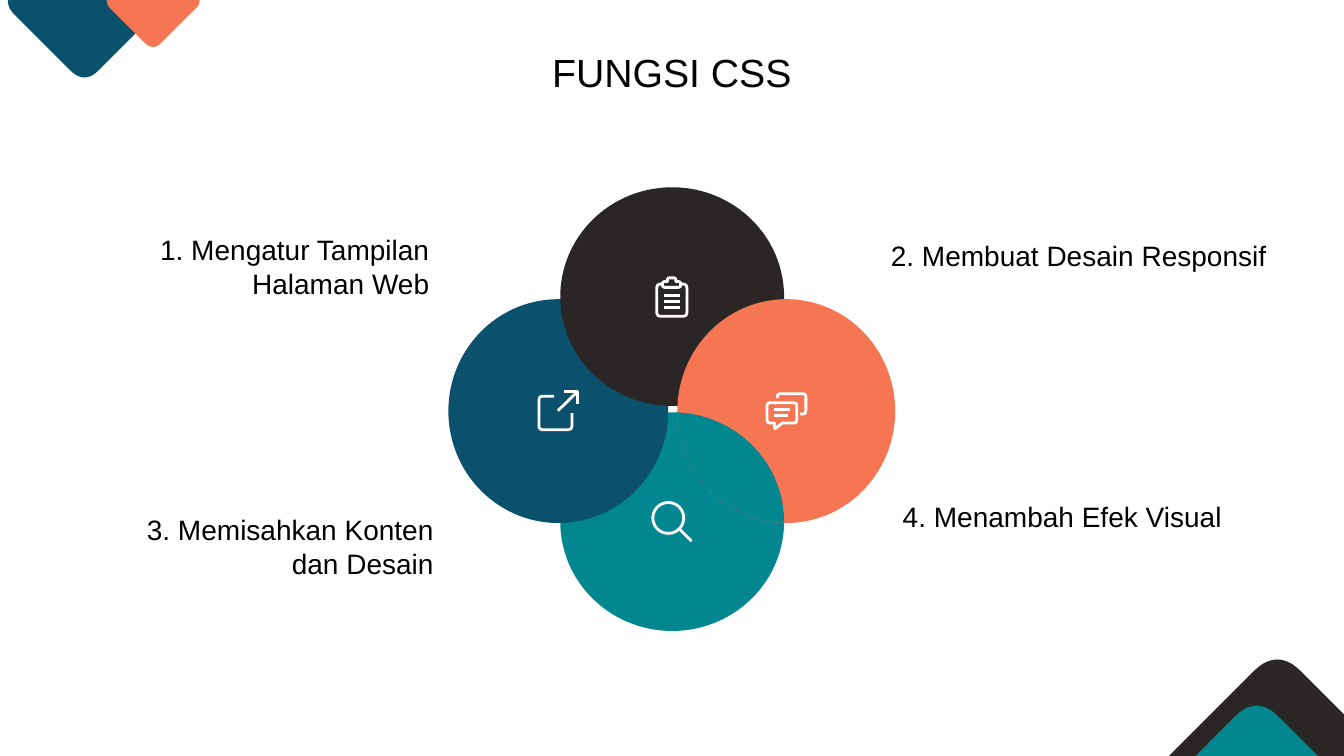
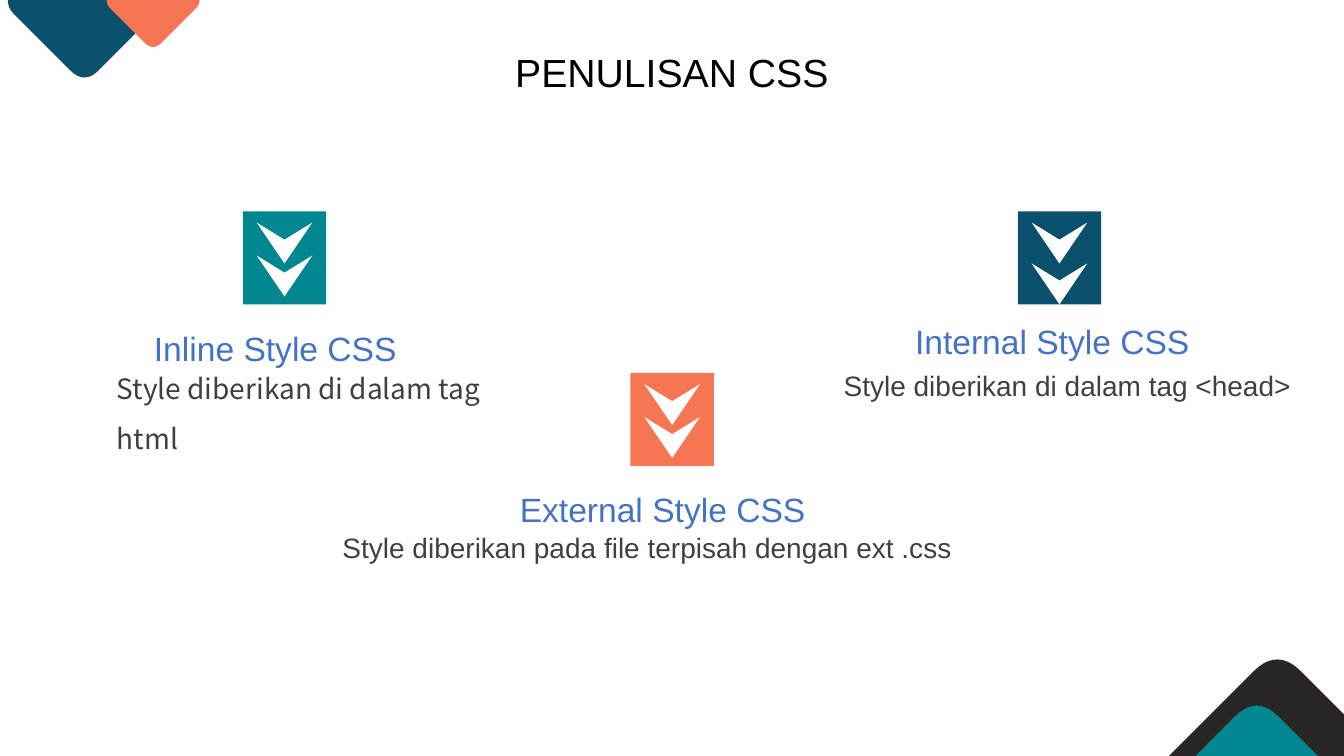
from math import cos, hypot, radians, sin

from lxml.etree import SubElement
from pptx import Presentation
from pptx.dml.color import RGBColor
from pptx.enum.shapes import MSO_CONNECTOR as Link, MSO_SHAPE as Kind
from pptx.enum.text import MSO_ANCHOR as Anchor, MSO_AUTO_SIZE as Fit, PP_ALIGN as Align
from pptx.oxml.ns import qn
from pptx.util import Cm, Pt

WIDE, HIGH = 33.87, 19.05
NAVY, CORAL, DARK, TEAL = "0B506C", "F67654", "2A2625", "02868F"
WHITE, BLACK, BLUE, GREY = "FFFFFF", "000000", "4472C4", "404040"
SANS, NOTO = "Arial", "Noto Sans CJK SC"
ICON = 1.04


def tint(hue):
    """Turn a hex string into a colour."""
    return RGBColor.from_string(hue)


def paint(shape, fill=None, line=None):
    """Set fill and line, and drop the shadow."""
    shape.shadow.inherit = False
    if fill:
        shape.fill.solid()
        shape.fill.fore_color.rgb = tint(fill)
    else:
        shape.fill.background()
    if line:
        shape.line.color.rgb = tint(line)
        shape.line.width = Pt(2)
    else:
        shape.line.fill.background()


def form(shapes, kind, x, y, w, h, fill=None, line=None):
    """Add a preset shape."""
    shape = shapes.add_shape(kind, Cm(x), Cm(y), Cm(w), Cm(h))
    paint(shape, fill, line)


def trace(shapes, pts, fill=None, line=None, close=True):
    """Add an outline through the points."""
    dots = [(Cm(x), Cm(y)) for x, y in pts]
    pen = shapes.build_freeform(*dots[0])
    pen.add_line_segments(dots[1:], close=close)
    paint(pen.convert_to_shape(), fill, line)


def soft(pts):
    """Round each corner that has a third value, the length cut off."""
    out = []
    for i, (x, y, *cut) in enumerate(pts):
        if not cut:
            out.append((x, y))
            continue
        ends = []
        for px, py, *_ in (pts[i - 1], pts[(i + 1) % len(pts)]):
            part = cut[0] / hypot(px - x, py - y)
            ends.append((x + (px - x) * part, y + (py - y) * part))
        (ax, ay), (bx, by) = ends
        for t in (k / 10 for k in range(11)):
            a, m, b = (1 - t) ** 2, 2 * t * (1 - t), t * t
            out.append((a * ax + m * x + b * bx, a * ay + m * y + b * by))
    return out


def arc(box, start, stop):
    """List points on the ellipse in a box, between two angles."""
    x, y, w, h = box
    turns = [radians(start + (stop - start) * k / 30) for k in range(31)]
    return [(x + w / 2 * (1 + cos(a)), y + h / 2 * (1 + sin(a))) for a in turns]


def write(shapes, x, y, w, h, text, size=20, hue=BLACK, font=SANS,
          align=Align.LEFT, space=None):
    """Add a text box."""
    frame = shapes.add_textbox(Cm(x), Cm(y), Cm(w), Cm(h)).text_frame
    frame.word_wrap = True
    style(frame, text, size, hue, font, align, space)


def style(frame, text, size, hue, font, align, space=None):
    """Fill a frame with one formatted paragraph."""
    frame.text = text
    para = frame.paragraphs[0]
    para.alignment = align
    para.line_spacing = space
    para.font.size, para.font.name = Pt(size), font
    para.font.color.rgb = tint(hue)


def drop(shapes, mid, half, side, cut, fill):
    """Hang a rounded diamond from the top edge."""
    left, right = mid - half, mid + half
    trace(shapes, soft([(left, 0), (right, 0), (right, side, side),
                        (mid, side + half, cut), (left, side, side)]), fill)


def peak(shapes, mid, top, cut, fill):
    """Raise a rounded diamond from the bottom edge, clipped at the right."""
    half = HIGH - top
    right = min(mid + half, WIDE)
    trace(shapes, soft([(mid - half, HIGH), (mid, top, cut),
                        (right, top + right - mid), (right, HIGH)]), fill)


def start(deck, title):
    """Add a slide with its corners and title."""
    slide = deck.slides.add_slide(deck.slide_layouts[5])
    shapes = slide.shapes
    drop(shapes, 2.13, 1.93, 0.2, 0.5, NAVY)
    drop(shapes, 3.86, 1.17, 0.12, 0.3, CORAL)
    peak(shapes, 32.19, 16.32, 0.84, DARK)
    peak(shapes, 31.67, 17.51, 0.77, TEAL)
    head = shapes.title
    head.left, head.top, head.width, head.height = Cm(12.22), Cm(1.09), Cm(9.42), Cm(1.45)
    frame = head.text_frame
    frame.auto_size, frame.vertical_anchor = Fit.NONE, Anchor.TOP
    style(frame, title, 28, BLACK, SANS, Align.CENTER)
    return shapes


def icon(shapes, x, y, paths=(), lines=(), rings=()):
    """Group white strokes given as parts of the icon size."""
    group = shapes.add_group_shape().shapes
    for close, pts in paths:
        spots = [(x + px * ICON, y + py * ICON, *[c * ICON for c in cut])
                 for px, py, *cut in pts]
        trace(group, soft(spots), line=WHITE, close=close)
    for ax, ay, bx, by in lines:
        link = group.add_connector(
            Link.STRAIGHT, Cm(x + ax * ICON), Cm(y + ay * ICON),
            Cm(x + bx * ICON), Cm(y + by * ICON))
        link.line.color.rgb = tint(WHITE)
        link.line.width = Pt(2)
        SubElement(link._element.spPr, qn("a:effectLst"))
    for px, py, size in rings:
        form(group, Kind.OVAL, x + px * ICON, y + py * ICON,
             size * ICON, size * ICON, line=WHITE)


def flower(shapes, x, y):
    """Interlock four discs, each with an icon."""
    low = (x + 2.82, y + 5.67, 5.64, 5.51)
    east = (x + 5.77, y + 2.82, 5.49, 5.64)
    discs = [(low, TEAL), ((x, y + 2.82, 5.54, 5.64), NAVY),
             ((x + 2.82, y, 5.64, 5.51), DARK), (east, CORAL)]
    for box, hue in discs:
        form(shapes, Kind.OVAL, *box, fill=hue)
    trace(shapes, arc(low, -87, 0) + arc(east, 92, 180), TEAL)
    icon(shapes, x + 2.24, y + 5.11,
         [(False, [(.41, .15), (.04, .15, .1), (.04, .96, .1), (.84, .96, .1), (.84, .56)]),
          (False, [(.64, .04), (.97, .04), (.97, .34)])],
         [(.5, .5, .95, .06)])
    icon(shapes, x + 5.21, y + 2.24,
         [(False, [(.18, .19), (.04, .19, .1), (.04, .97, .1), (.77, .97, .1),
                   (.77, .19, .1), (.62, .19)]),
          (True, [(.18, .27, .06), (.18, .13, .06), (.3, .13), (.3, .04, .05),
                  (.5, .04, .05), (.5, .13), (.62, .13, .06), (.62, .27, .06)])],
         [(.21, row, .61, row) for row in (.46, .61, .76)])
    icon(shapes, x + 8, y + 5.16,
         [(True, [(.03, .26, .08), (.75, .26, .08), (.75, .75, .08), (.4, .75),
                  (.21, .9, .05), (.21, .75), (.03, .75, .08)]),
          (False, [(.28, .15), (.28, .04, .08), (.97, .04, .08), (.97, .53, .08), (.83, .53)])],
         [(.2, .43, .58, .43), (.2, .56, .53, .56)])
    icon(shapes, x + 5.11, y + 7.9, lines=[(.7, .7, .98, .98)], rings=[(.04, .04, .75)])


def uses(deck):
    """Build the slide on the uses of CSS."""
    shapes = start(deck, "FUNGSI CSS")
    notes = [
        (3.4, 5.74, 7.67, 1.96, "1. Mengatur Tampilan Halaman Web", Align.RIGHT),
        (22.2, 5.89, 10.85, 1.12, "2. Membuat Desain Responsif", Align.LEFT),
        (2.9, 12.8, 8.28, 1.96, "3. Memisahkan Konten dan Desain", Align.RIGHT),
        (22.5, 12.47, 9.3, 1.12, "4. Menambah Efek Visual", Align.LEFT),
    ]
    for *box, text, align in notes:
        write(shapes, *box, text, align=align)
    flower(shapes, 11.3, 4.72)


def card(shapes, x, y, hue, gap, head, note, font=SANS):
    """Place a badge with two chevrons, a heading and a note."""
    group = shapes.add_group_shape().shapes
    form(group, Kind.RECTANGLE, x, y, 2.1, 2.34, hue)
    left, mid, right = x + 0.35, x + 1.05, x + 1.75
    for top in (y + 0.28 + gap, y + 0.28):
        trace(group, [(left, top), (mid, top + 0.43), (right, top), (mid, top + 1.03)], WHITE)
    dx, dy, w, text = head
    write(shapes, x + dx, y + dy, w, 1.27, text, 24, BLUE)
    dx, dy, w, text = note
    write(shapes, x + dx, y + dy, w, 1.52, text, 20, GREY, font, space=1.5)


def styles(deck):
    """Build the slide on the ways to write CSS."""
    shapes = start(deck, "PENULISAN CSS")
    card(shapes, 6.12, 5.33, TEAL, 0.83, (-2.49, 2.8, 7.42, "Inline Style CSS"),
         (-3.43, 3.48, 11.13, "Style diberikan di dalam tag html"), NOTO)
    card(shapes, 25.65, 5.33, NAVY, 1.03, (-2.84, 2.62, 8.1, "Internal Style CSS"),
         (-4.64, 3.41, 12.52, "Style diberikan di dalam tag <head>"))
    card(shapes, 15.89, 9.4, CORAL, 0.83, (-3.04, 2.79, 8.15, "External Style CSS"),
         (-7.51, 3.43, 17.27, "Style diberikan pada file terpisah dengan ext .css"))


def main():
    """Build and save the deck."""
    deck = Presentation()
    deck.slide_width, deck.slide_height = Cm(WIDE), Cm(HIGH)
    uses(deck)
    styles(deck)
    deck.save("out.pptx")


if __name__ == "__main__":
    main()
